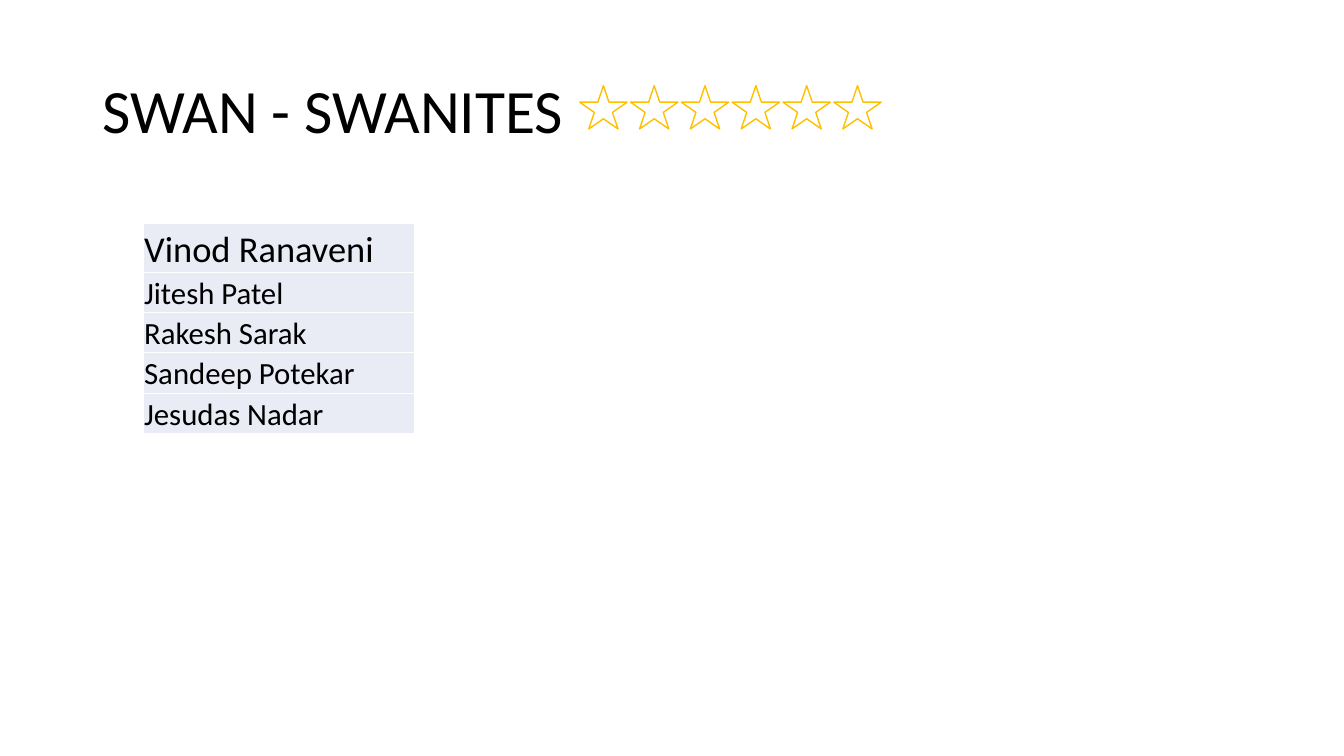
"""Build the team slide: a title, a row of stars and a table of names."""
import pptx
import pptx.util
import pptx.dml.color
import pptx.enum.shapes
import pptx.enum.text
import lxml.etree

TITLE = "SWAN - SWANITES"
NAMES = [
    ("Vinod Ranaveni", 26, 0.48),
    ("Jitesh Patel", 22, 0.4),
    ("Rakesh Sarak", 22, 0.4),
    ("Sandeep Potekar", 22, 0.4),
    ("Jesudas Nadar", 22, 0.4),
]
STARS = {"count": 6, "left": 5.75, "top": 0.85, "step": 0.504, "wide": 0.47, "high": 0.43}
TABLE = {"left": 1.42, "top": 2.22, "wide": 2.69}
COLORS = {"ink": "000000", "gold": "FFC000", "white": "FFFFFF", "cell": "E9EBF5"}
FONT = "Calibri"
SPACE = "http://schemas.openxmlformats.org/drawingml/2006/main"

inch = pptx.util.Inches


def color(name):
    return pptx.dml.color.RGBColor.from_string(COLORS[name])


def paint(part, name):
    part.fill.solid()
    part.fill.fore_color.rgb = color(name)


def write(frame, text, size):
    frame.text = text
    font = frame.paragraphs[0].runs[0].font
    font.name, font.size = FONT, pptx.util.Pt(size)
    font.color.rgb = color("ink")


def add_title(slide):
    box = slide.shapes.add_textbox(inch(0.92), inch(0.4), inch(11.5), inch(1.45))
    frame = box.text_frame
    frame.word_wrap = True
    frame.vertical_anchor = pptx.enum.text.MSO_ANCHOR.MIDDLE
    write(frame, TITLE, 44)
    frame.paragraphs[0].line_spacing = 0.9


def add_stars(slide):
    group = slide.shapes.add_group_shape()
    for i in range(STARS["count"]):
        star = group.shapes.add_shape(
            pptx.enum.shapes.MSO_SHAPE.STAR_5_POINT,
            inch(STARS["left"] + i * STARS["step"]), inch(STARS["top"]),
            inch(STARS["wide"]), inch(STARS["high"]))
        star.shadow.inherit = False
        paint(star, "white")
        star.line.color.rgb = color("gold")
        star.line.width = pptx.util.Pt(1)


def add_edges(cell):
    props = cell._tc.get_or_add_tcPr()
    for side in ("lnL", "lnR", "lnT", "lnB"):
        line = lxml.etree.SubElement(props, f"{{{SPACE}}}{side}", w=str(pptx.util.Pt(1)))
        fill = lxml.etree.SubElement(line, f"{{{SPACE}}}solidFill")
        lxml.etree.SubElement(fill, f"{{{SPACE}}}srgbClr", val=COLORS["white"])


def add_names(slide):
    high = sum(row[2] for row in NAMES)
    table = slide.shapes.add_table(
        len(NAMES), 1, inch(TABLE["left"]), inch(TABLE["top"]),
        inch(TABLE["wide"]), inch(high)).table
    table.first_row = table.horz_banding = False
    for i, (name, size, tall) in enumerate(NAMES):
        table.rows[i].height = inch(tall)
        cell = table.cell(i, 0)
        cell.margin_left = cell.margin_right = cell.margin_top = inch(0.01)
        cell.margin_bottom = 0
        cell.vertical_anchor = pptx.enum.text.MSO_ANCHOR.BOTTOM
        add_edges(cell)
        paint(cell, "cell")
        write(cell.text_frame, name, size)


def main():
    deck = pptx.Presentation()
    deck.slide_width, deck.slide_height = inch(13.33), inch(7.5)
    slide = deck.slides.add_slide(deck.slide_layouts[6])
    add_title(slide)
    add_stars(slide)
    add_names(slide)
    deck.save("out.pptx")


if __name__ == "__main__":
    main()
